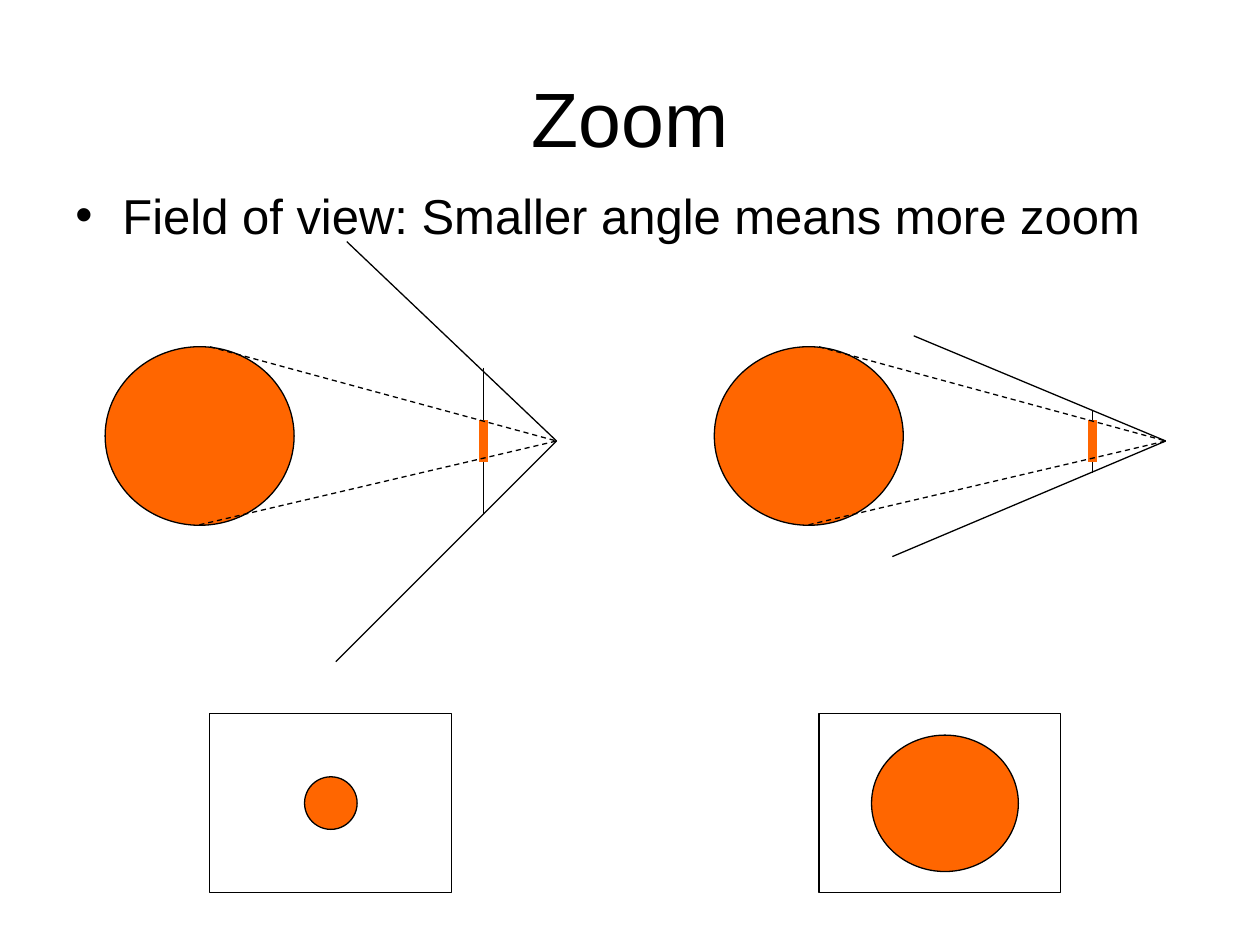
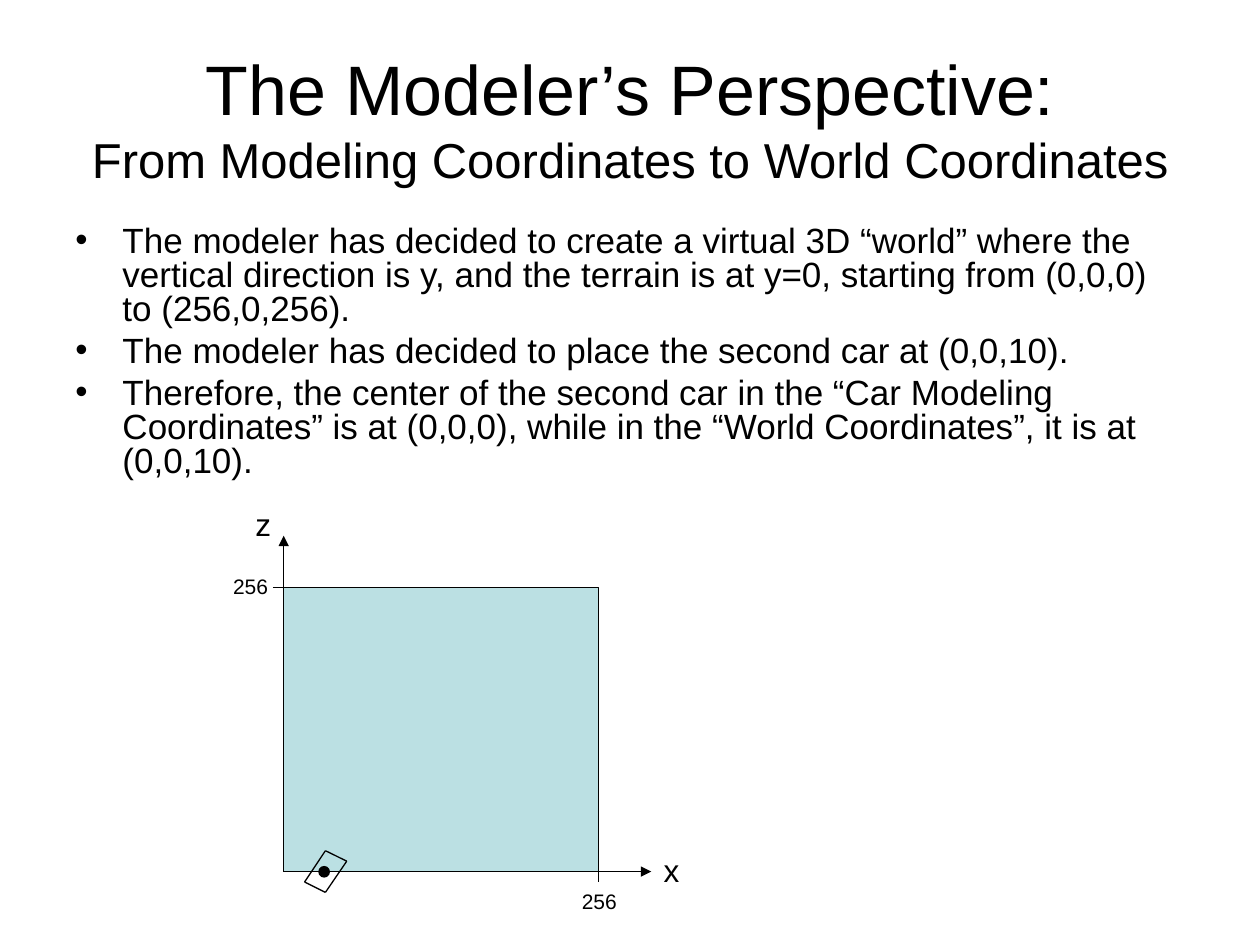
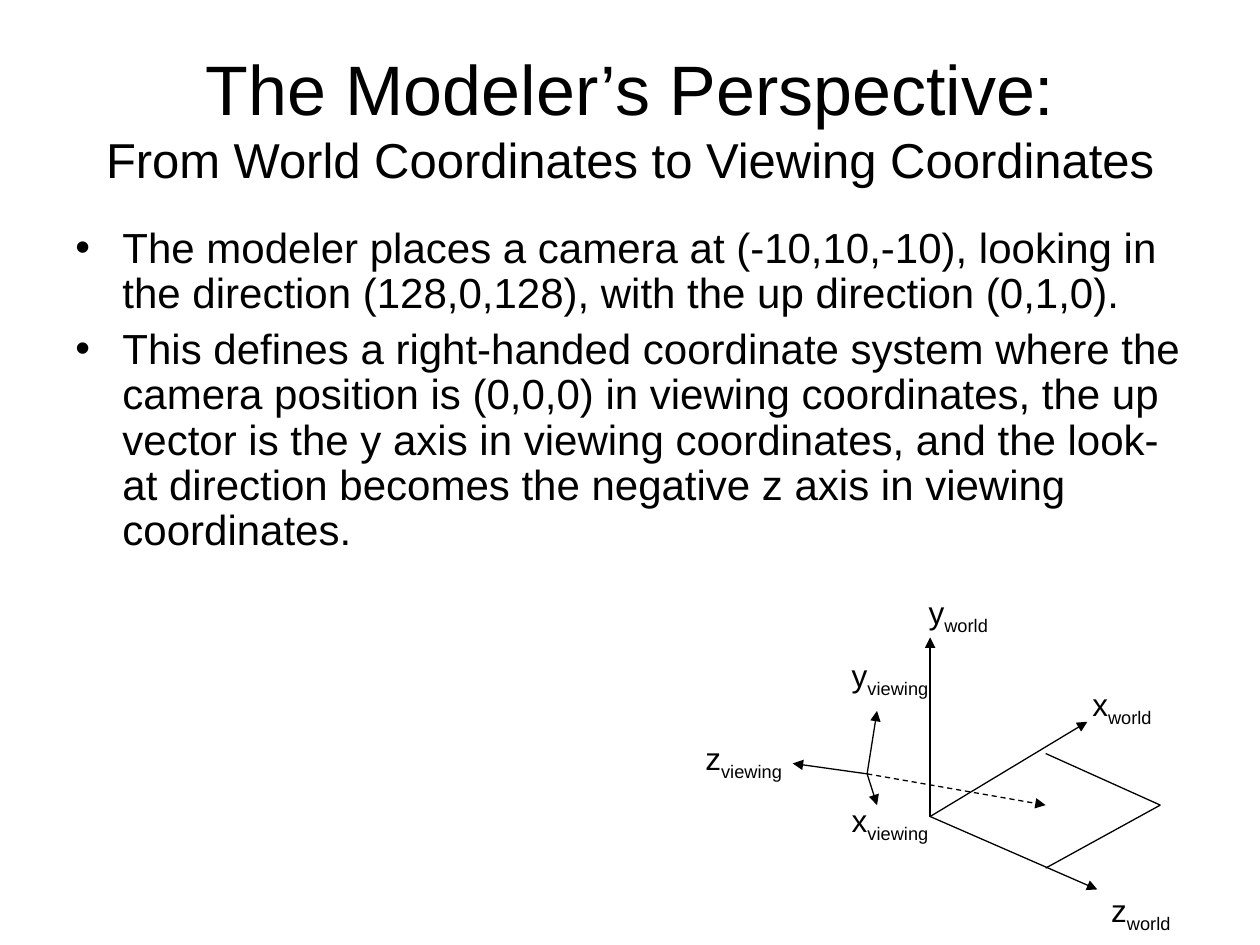
from dataclasses import dataclass

from lxml.etree import SubElement
from pptx import Presentation
from pptx.dml.color import RGBColor
from pptx.enum.dml import MSO_LINE
from pptx.enum.shapes import MSO_CONNECTOR, MSO_SHAPE
from pptx.enum.text import MSO_ANCHOR, PP_ALIGN
from pptx.oxml.ns import qn
from pptx.util import Cm, Pt


@dataclass(frozen=True)
class Theme:
    font: str = "Arial"
    ink: RGBColor = RGBColor(0x00, 0x00, 0x00)
    orange: RGBColor = RGBColor(0xFF, 0x66, 0x00)
    terrain: RGBColor = RGBColor(0xBB, 0xE0, 0xE3)
    title: int = 44
    long_title: int = 40
    subtitle: int = 28
    label: int = 18
    tick: int = 12
    thin: float = 0.75
    thick: float = 5


theme = Theme()


def add_text(slide, box, lines, size, wrap=True):
    text_frame = slide.shapes.add_textbox(*map(Cm, box)).text_frame
    text_frame.word_wrap = wrap
    text_frame.text = "\n".join(lines)
    for paragraph in text_frame.paragraphs:
        for run in paragraph.runs:
            run.font.name = theme.font
            run.font.size = Pt(size)
            run.font.color.rgb = theme.ink
    return text_frame


def add_line(slide, start, end, color=theme.ink, width=theme.thin, dashed=False, arrow=False):
    connector = slide.shapes.add_connector(MSO_CONNECTOR.STRAIGHT, *map(Cm, (*start, *end)))
    connector.line.color.rgb = color
    connector.line.width = Pt(width)
    if dashed:
        connector.line.dash_style = MSO_LINE.DASH
    if arrow:
        SubElement(connector.line._get_or_add_ln(), qn("a:tailEnd"), type="triangle")
    SubElement(connector._element.spPr, qn("a:effectLst"))


presentation = Presentation()
presentation.slide_width = Cm(25.4)
presentation.slide_height = Cm(19.05)

pages = [
    ("Zoom", theme.title, (3.61, 1.7), 28, 1, 7,
     ["Field of view: Smaller angle means more zoom"]),
    ("The Modeler’s Perspective:\vFrom Modeling Coordinates to World Coordinates",
     theme.long_title, (4.45, 5.92), 20, 0.8, 5,
     ["The modeler has decided to create a virtual 3D “world” where the vertical direction is y, "
      "and the terrain is at y=0, starting from (0,0,0) to (256,0,256).",
      "The modeler has decided to place the second car at (0,0,10).",
      "Therefore, the center of the second car in the “Car Modeling Coordinates” is at (0,0,0), "
      "while in the “World Coordinates”, it is at (0,0,10)."]),
    ("The Modeler’s Perspective:\vFrom World Coordinates to Viewing Coordinates",
     theme.long_title, (4.45, 7.19), 24, 0.9, 6,
     ["The modeler places a camera at (-10,10,-10), looking in the direction (128,0,128), "
      "with the up direction (0,1,0).",
      "This defines a right-handed coordinate system where the camera position is (0,0,0) in "
      "viewing coordinates, the up vector is the y axis in viewing coordinates, and the look-at "
      "direction becomes the negative z axis in viewing coordinates."]),
]
for title, title_size, (body_top, body_height), body_size, spacing, gap, bullets in pages:
    slide = presentation.slides.add_slide(presentation.slide_layouts[6])
    heading = add_text(slide, (1.27, 0.76, 22.86, 3.18), [title], title_size)
    heading.vertical_anchor = MSO_ANCHOR.MIDDLE
    heading.paragraphs[0].alignment = PP_ALIGN.CENTER
    for run in heading.paragraphs[0].runs[1:]:
        run.font.size = Pt(theme.subtitle)
    body = add_text(slide, (1.27, body_top, 22.86, body_height), bullets, body_size)
    for index, paragraph in enumerate(body.paragraphs):
        properties = paragraph._p.get_or_add_pPr()
        properties.set("marL", str(Cm(0.95)))
        properties.set("indent", str(-Cm(0.95)))
        SubElement(properties, qn("a:buFont"), typeface=theme.font)
        SubElement(properties, qn("a:buChar"), char="•")
        paragraph.line_spacing = spacing
        paragraph.space_before = Pt(gap if index else 0)

zoom_slide, world_slide, viewing_slide = presentation.slides

shapes = []
views = [
    (0, (6.99, 4.87), (6.77, 13.34), (7.41, 10.37), (6.14, 15.66, 1.06, 1.06)),
    (12.28, (18.42, 6.77), (17.99, 11.22), (8.26, 9.53), (17.57, 14.82, 2.96, 2.75)),
]
for shift, field_top, field_bottom, (screen_top, screen_bottom), projected_ball in views:
    eye = (11.22 + shift, 8.89)
    screen = 9.74 + shift
    shapes.append((zoom_slide, MSO_SHAPE.OVAL, (2.12 + shift, 6.99, 3.81, 3.6), theme.orange))
    shapes.append((zoom_slide, MSO_SHAPE.RECTANGLE, (4.23 + shift, 14.39, 4.87, 3.6), None))
    shapes.append((zoom_slide, MSO_SHAPE.OVAL, projected_ball, theme.orange))

shapes.append((world_slide, MSO_SHAPE.RECTANGLE, (5.72, 11.85, 6.35, 5.72), theme.terrain))
shapes.append((world_slide, MSO_SHAPE.OVAL, (6.43, 17.47, 0.21, 0.21), theme.ink))
for slide, kind, box, fill in shapes:
    shape = slide.shapes.add_shape(kind, *map(Cm, box))
    shape.shadow.inherit = False
    shape.line.color.rgb = theme.ink
    shape.line.width = Pt(theme.thin)
    if fill is None:
        shape.fill.background()
    else:
        shape.fill.solid()
        shape.fill.fore_color.rgb = fill

for shift, field_top, field_bottom, (screen_top, screen_bottom), projected_ball in views:
    eye = (11.22 + shift, 8.89)
    screen = 9.74 + shift
    add_line(zoom_slide, field_top, eye)
    add_line(zoom_slide, eye, field_bottom)
    add_line(zoom_slide, (screen, screen_top), (screen, screen_bottom))
    add_line(zoom_slide, (screen, 8.47), (screen, 9.31), theme.orange, theme.thick)
    for edge in [(4.02, 10.58), (4.23, 6.99)]:
        add_line(zoom_slide, (edge[0] + shift, edge[1]), eye, dashed=True)

terrain_origin = (5.72, 17.57)
for tip in [(13.13, 17.57), (5.72, 10.8)]:
    add_line(world_slide, terrain_origin, tip, arrow=True)
car = [(6.14, 17.78), (6.56, 17.99), (6.99, 17.36), (6.56, 17.15)]
for start, end in zip(car, car[1:] + car[:1]):
    add_line(world_slide, start, end)
add_line(world_slide, (5.5, 11.85), (6.14, 11.85))
add_line(world_slide, (12.07, 17.36), (12.07, 17.78))
for text, box, size in [
    ("x", (13.13, 17.04, 0.81, 1.02), theme.label),
    ("z", (4.9, 10.06, 0.81, 1.02), theme.label),
    ("256", (11.48, 17.78, 1.22, 0.76), theme.tick),
    ("256", (4.45, 11.43, 1.22, 0.76), theme.tick),
]:
    add_text(world_slide, box, [text], size, wrap=False)

world_origin = (18.75, 16.46)
for tip in [(18.75, 12.85), (22.12, 17.93), (21.92, 14.55)]:
    add_line(viewing_slide, world_origin, tip, arrow=True)
terrain_corner = (23.39, 16.23)
for corner in [(21.08, 17.5), (21.08, 15.19)]:
    add_line(viewing_slide, corner, terrain_corner)
camera = (17.48, 15.6)
for tip in [(17.68, 14.33), (15.98, 15.39), (17.68, 16.23)]:
    add_line(viewing_slide, camera, tip, arrow=True)
add_line(viewing_slide, camera, (21.08, 16.23), dashed=True, arrow=True)
for axis, system, left, top, width in [
    ("z", "world", 22.15, 17.83, 1.7),
    ("x", "world", 21.77, 13.69, 1.7),
    ("y", "world", 18.47, 11.84, 1.7),
    ("y", "viewing", 16.92, 13.11, 2.06),
    ("z", "viewing", 13.97, 14.78, 2.06),
    ("x", "viewing", 16.92, 16.03, 2.06),
]:
    label = add_text(viewing_slide, (left, top, width, 1.12), [axis], theme.label, wrap=False)
    subscript = label.paragraphs[0].add_run()
    subscript.text = system
    subscript.font.name = theme.font
    subscript.font.size = Pt(theme.label)
    subscript.font.color.rgb = theme.ink
    subscript._r.get_or_add_rPr().set("baseline", "-25000")

presentation.save("out.pptx")
